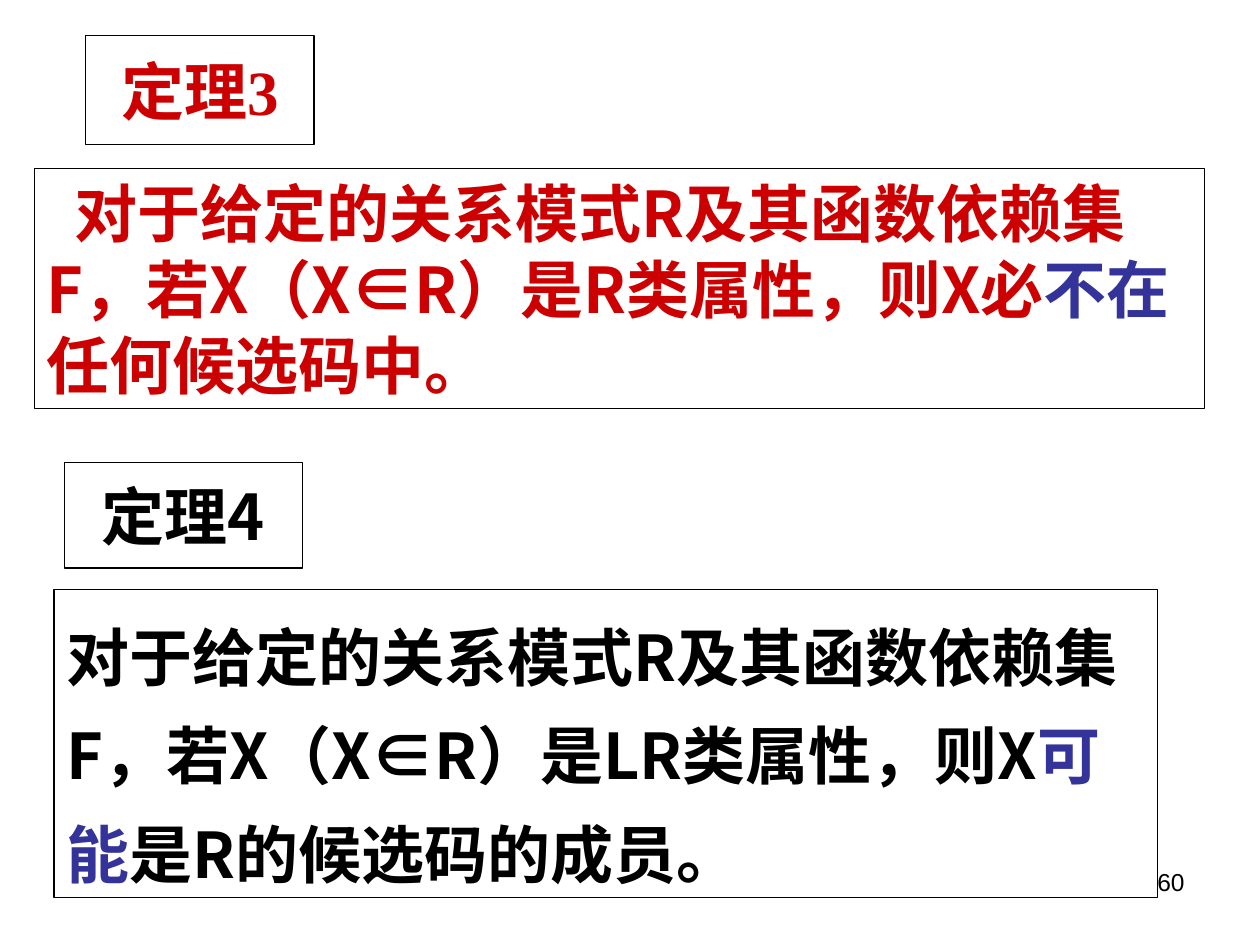
from dataclasses import dataclass

from pptx import Presentation
from pptx import util as u
from pptx.dml.color import RGBColor
from pptx.enum import shapes, text
from pptx.oxml.ns import qn

SANS = "Noto Sans CJK SC"
SERIF = "Times New Roman"
BLACK, WHITE, RED, BLUE = "000000", "FFFFFF", "CC0000", "333399"


@dataclass
class Span:
    words: str
    color: str


@dataclass
class Box:
    left: float
    top: float
    width: float
    height: float
    spans: list[Span]
    latin: str = SANS
    is_heading: bool = False
    line_spacing: float = 1.0
    first_indent: float = 0


BOXES = [
    Box(1.73, 0.72, 4.6, 2.2, [Span("定理3", RED)], SERIF, is_heading=True),
    Box(0.69, 3.4, 23.6, 4.83, [
        Span("对于给定的关系模式R及其函数依赖集F，若X（X∈R）是R类属性，则X必", RED),
        Span("不在", BLUE),
        Span("任何候选码中。", RED),
    ], first_indent=0.56),
    Box(1.3, 9.32, 4.8, 2.13, [Span("定理4", BLACK)], is_heading=True),
    Box(1.09, 11.89, 22.25, 6.2, [
        Span("对于给定的关系模式R及其函数依赖集F，若X（X∈R）是LR类属性，则X", BLACK),
        Span("可能", BLUE),
        Span("是R的候选码的成员。", BLACK),
    ], line_spacing=1.3),
]


def rgb(color: str) -> RGBColor:
    return RGBColor.from_string(color)


def add_span(paragraph, span: Span, latin: str) -> None:
    run = paragraph.add_run()
    run.text = span.words
    run.font.size, run.font.bold, run.font.name = u.Pt(36), True, latin
    run.font.color.rgb = rgb(span.color)
    east_asian = run.font._element.makeelement(qn("a:ea"), {"typeface": SANS})
    run.font._element.find(qn("a:latin")).addnext(east_asian)


def fill_box(shape, box: Box) -> None:
    """Place and outline the shape, then write the box's spans in it."""
    shape.left, shape.top = u.Cm(box.left), u.Cm(box.top)
    shape.width, shape.height = u.Cm(box.width), u.Cm(box.height)
    shape.fill.solid()
    shape.fill.fore_color.rgb = rgb(WHITE)
    shape.line.color.rgb = rgb(BLACK)
    shape.line.width = u.Pt(0.75)

    frame = shape.text_frame
    frame.word_wrap = True
    frame.auto_size = text.MSO_AUTO_SIZE.NONE
    frame.vertical_anchor = (
        text.MSO_ANCHOR.MIDDLE if box.is_heading else text.MSO_ANCHOR.TOP)
    paragraph = frame.paragraphs[0]
    paragraph.alignment = (
        text.PP_ALIGN.CENTER if box.is_heading else text.PP_ALIGN.LEFT)
    paragraph.line_spacing = box.line_spacing
    paragraph.space_before = u.Pt(0)
    if box.first_indent:
        paragraph._p.get_or_add_pPr().set("indent", str(u.Cm(box.first_indent)))
    for span in box.spans:
        add_span(paragraph, span, box.latin)


def add_page_number(slide, number: str) -> None:
    holder = slide.shapes.add_textbox(u.Cm(18.2), u.Cm(17.35), u.Cm(5.93), u.Cm(1.32))
    holder.text_frame.word_wrap = True
    paragraph = holder.text_frame.paragraphs[0]
    paragraph.text = number
    paragraph.alignment = text.PP_ALIGN.RIGHT
    font = paragraph.runs[0].font
    font.size, font.name = u.Pt(14), "Arial"
    font.color.rgb = rgb(BLACK)


def main() -> None:
    deck = Presentation()
    deck.slide_width, deck.slide_height = u.Cm(25.4), u.Cm(19.05)
    slide = deck.slides.add_slide(deck.slide_layouts.get_by_name("Title Only"))
    add_page_number(slide, "60")

    title_box, *other_boxes = BOXES
    fill_box(slide.shapes.title, title_box)
    for box in other_boxes:
        shape = slide.shapes.add_shape(shapes.MSO_SHAPE.RECTANGLE, 0, 0, 0, 0)
        shape.shadow.inherit = False
        fill_box(shape, box)
    deck.save("out.pptx")


if __name__ == "__main__":
    main()
